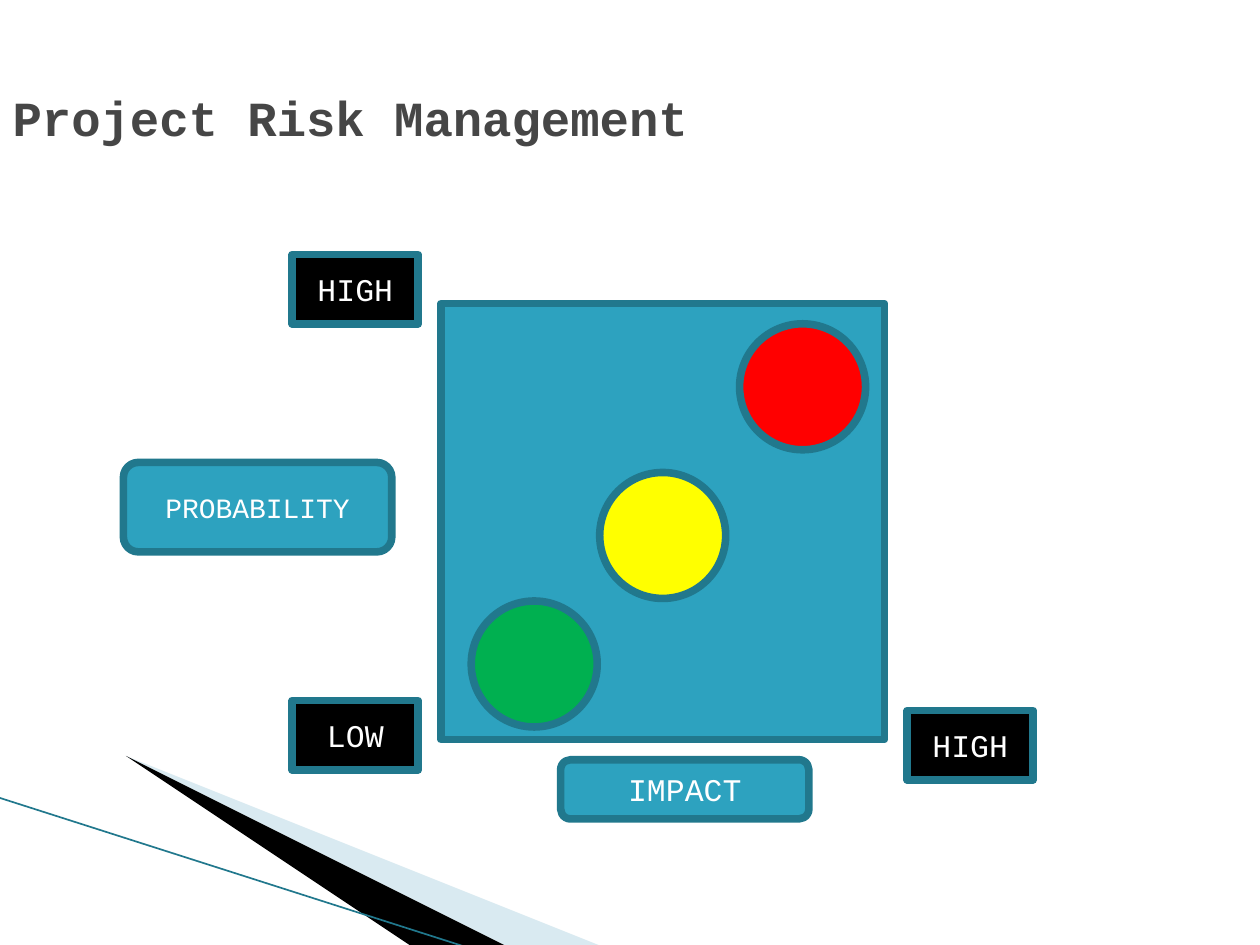
from dataclasses import dataclass

from lxml import etree
from pptx import Presentation
from pptx.dml.color import RGBColor
from pptx.enum.shapes import MSO_CONNECTOR, MSO_SHAPE
from pptx.enum.text import MSO_ANCHOR, PP_ALIGN
from pptx.oxml.ns import qn
from pptx.util import Inches, Pt

RECT, ROUNDED, CIRCLE = MSO_SHAPE.RECTANGLE, MSO_SHAPE.ROUNDED_RECTANGLE, MSO_SHAPE.OVAL
STRAIGHT = MSO_CONNECTOR.STRAIGHT
LEFT, CENTER = PP_ALIGN.LEFT, PP_ALIGN.CENTER
MIDDLE = MSO_ANCHOR.MIDDLE

FONT = "Courier New"
TITLE_GRAY = RGBColor(0x46, 0x46, 0x46)
WHITE = RGBColor(0xFF, 0xFF, 0xFF)
BLACK = RGBColor(0x00, 0x00, 0x00)
TEAL = RGBColor(0x2D, 0xA2, 0xBF)
DARK_TEAL = RGBColor(0x21, 0x78, 0x8D)
PALE_BLUE = RGBColor(0xA0, 0xCB, 0xDC)
RED = RGBColor(0xFF, 0x00, 0x00)
YELLOW = RGBColor(0xFF, 0xFF, 0x00)
GREEN = RGBColor(0x00, 0xB0, 0x50)


@dataclass(frozen=True)
class Box:
    kind: int
    left: float
    top: float
    width: float
    height: float
    fill: RGBColor
    label: str = ""
    size: float = 18


@dataclass(frozen=True)
class Wedge:
    points: tuple[tuple[float, float], ...]
    fill: RGBColor
    opacity: int = 100


def risk_level(left: float, top: float, fill: RGBColor) -> Box:
    return Box(CIRCLE, left, top, 1, 1, fill)


def scale_end(left: float, top: float, label: str) -> Box:
    return Box(RECT, left, top, 1, 0.55, BLACK, label)


WEDGES = (
    Wedge(((0.55, 6.5), (5.95, 7.51), (4.56, 7.51)), PALE_BLUE, opacity=40),
    Wedge(((0.53, 6.49), (4.57, 7.51), (3.72, 7.52)), BLACK),
)

MATRIX = (
    Box(RECT, 3.5, 2.41, 3.52, 3.46, TEAL),
    Box(ROUNDED, 0.98, 3.67, 2.13, 0.71, TEAL, "PROBABILITY", 16),
    Box(ROUNDED, 4.45, 6.03, 1.97, 0.47, TEAL, "IMPACT"),
    risk_level(5.87, 2.57, RED),
    risk_level(4.76, 3.75, YELLOW),
    risk_level(3.74, 4.77, GREEN),
    scale_end(2.32, 2.02, "HIGH"),
    scale_end(2.32, 5.56, "LOW"),
    scale_end(7.2, 5.64, "HIGH"),
)


def write_text(shape, text: str, *, size: float, color: RGBColor,
               bold: bool = False, align: int = CENTER) -> None:
    frame = shape.text_frame
    frame.word_wrap = True
    frame.vertical_anchor = MIDDLE
    paragraph = frame.paragraphs[0]
    paragraph.alignment = align
    run = paragraph.add_run()
    run.text = text
    run.font.name = FONT
    run.font.size = Pt(size)
    run.font.bold = bold
    run.font.color.rgb = color


def draw_wedge(slide, wedge: Wedge) -> None:
    start, *others = wedge.points
    builder = slide.shapes.build_freeform(*start, scale=Inches(1))
    builder.add_line_segments(others, close=True)
    shape = builder.convert_to_shape()
    shape.shadow.inherit = False
    shape.fill.solid()
    shape.fill.fore_color.rgb = wedge.fill
    shape.line.fill.background()
    if wedge.opacity < 100:
        color = shape.fill._xPr.find(f"{qn('a:solidFill')}/{qn('a:srgbClr')}")
        etree.SubElement(color, qn("a:alpha"), val=str(wedge.opacity * 1000))


def draw_box(slide, box: Box) -> None:
    shape = slide.shapes.add_shape(
        box.kind, Inches(box.left), Inches(box.top), Inches(box.width), Inches(box.height))
    shape.shadow.inherit = False
    shape.fill.solid()
    shape.fill.fore_color.rgb = box.fill
    shape.line.color.rgb = DARK_TEAL
    shape.line.width = Pt(4.33)
    if box.label:
        write_text(shape, box.label, size=box.size, color=WHITE)


presentation = Presentation()
presentation.slide_width, presentation.slide_height = Inches(10), Inches(7.5)
slide = presentation.slides.add_slide(presentation.slide_layouts[5])

# Title
title = slide.shapes.title
title.left, title.top, title.width, title.height = map(Inches, (0, 0.3, 9, 1.25))
write_text(title, "Project Risk Management", size=28, color=TITLE_GRAY, bold=True, align=LEFT)

# Corner decoration
for wedge in WEDGES:
    draw_wedge(slide, wedge)
edge = slide.shapes.add_connector(
    STRAIGHT, Inches(-0.01), Inches(6.33), Inches(3.71), Inches(7.52))
edge.line.color.rgb = DARK_TEAL
edge.line.width = Pt(0.95)
etree.SubElement(edge._element.spPr, qn("a:effectLst"))

# Probability and impact matrix
for box in MATRIX:
    draw_box(slide, box)

presentation.save("out.pptx")
